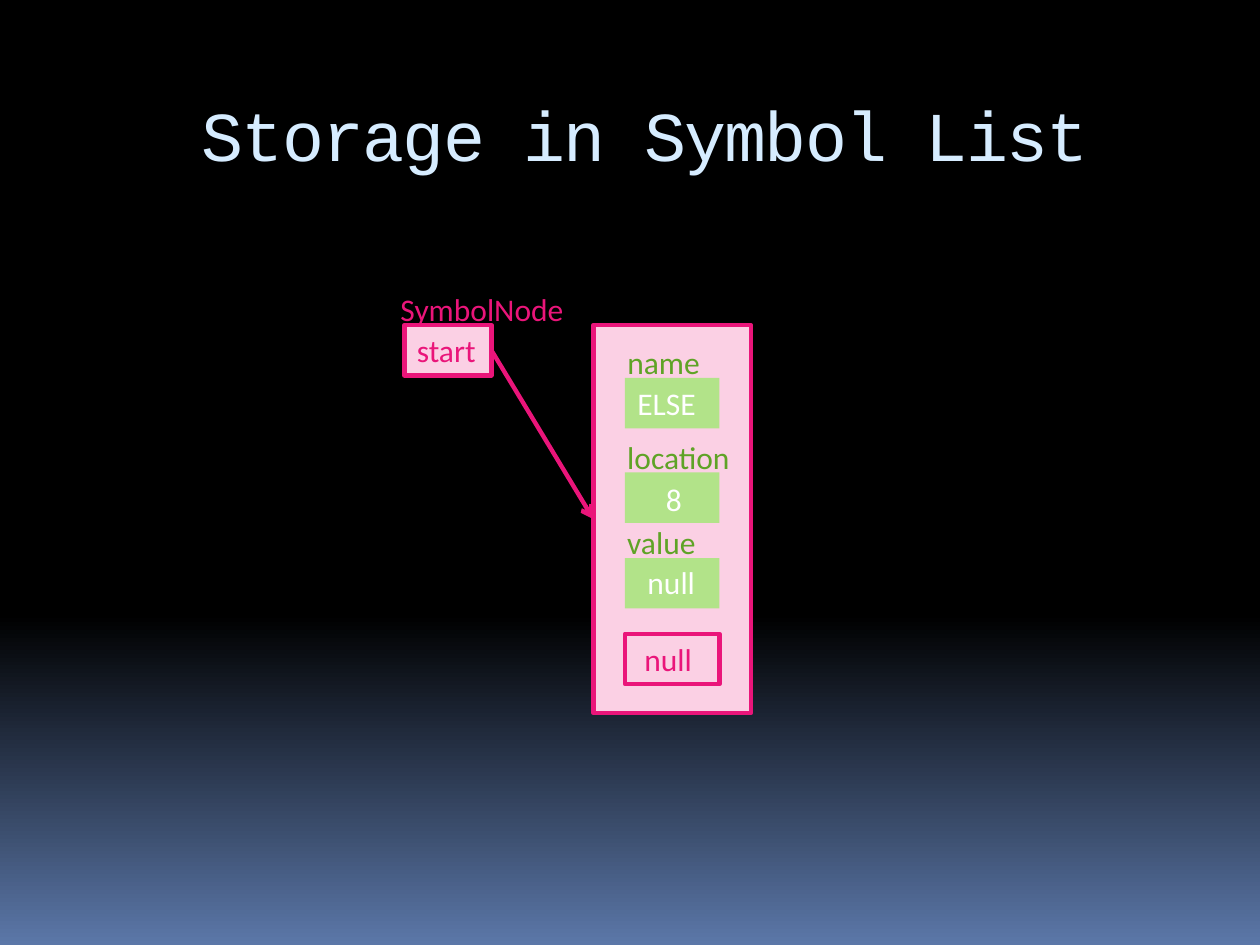
import dataclasses

import pptx
import pptx.dml.color
import pptx.enum.shapes
import pptx.enum.text
import pptx.oxml
import pptx.oxml.ns
import pptx.util

Inches = pptx.util.Inches
Pt = pptx.util.Pt
RGB = pptx.dml.color.RGBColor.from_string


@dataclasses.dataclass(frozen=True)
class Theme:
    night: str = "000000"
    dusk: str = "5B77A8"
    title: str = "D6ECFF"
    pink: str = "EA157A"
    pale_pink: str = "FBD0E4"
    green: str = "B2E389"
    dark_green: str = "5FA326"
    white: str = "FFFFFF"
    title_font: str = "Courier New"
    body_font: str = "Calibri"
    title_size: int = 40
    body_size: int = 18
    line_width: float = 2.5


THEME = Theme()
CELL_HEIGHT = 0.4
FIELD_LEFT = 4.96
FIELD_WIDTH = 0.75
LABEL_LEFT = 4.88


def paint_background(slide):
    fill = slide.background.fill
    fill.gradient()
    fill.gradient_angle = 270
    stops = zip(fill.gradient_stops, (0.65, 1), (THEME.night, THEME.dusk))
    for stop, position, color in stops:
        stop.position = position
        stop.color.rgb = RGB(color)


def write(frame, text, color, font=THEME.body_font, size=THEME.body_size):
    paragraph = frame.paragraphs[0]
    paragraph.alignment = pptx.enum.text.PP_ALIGN.LEFT
    run = paragraph.add_run()
    run.text = text
    run.font.name = font
    run.font.size = Pt(size)
    run.font.color.rgb = RGB(color)
    return run


def add_title(slide, text):
    title = slide.shapes.title
    title.left, title.top = Inches(1.5), Inches(0.56)
    title.width, title.height = Inches(8.5), Inches(1)
    title.text_frame.vertical_anchor = pptx.enum.text.MSO_ANCHOR.MIDDLE
    run = write(title.text_frame, text, THEME.title, THEME.title_font, THEME.title_size)
    run.font._element.set("spc", "-100")


def add_box(shapes, left, top, width, height, fill, outline=None):
    box = shapes.add_shape(
        pptx.enum.shapes.MSO_SHAPE.RECTANGLE,
        Inches(left), Inches(top), Inches(width), Inches(height))
    box.shadow.inherit = False
    box.fill.solid()
    box.fill.fore_color.rgb = RGB(fill)
    if outline:
        box.line.color.rgb = RGB(outline)
        box.line.width = Pt(THEME.line_width)
    else:
        box.line.fill.background()
    return box


def add_pointer_cell(shapes, left, top, width, text, wrap):
    cell = add_box(shapes, left, top, width, CELL_HEIGHT, THEME.pale_pink, THEME.pink)
    cell.text_frame.word_wrap = wrap
    cell.text_frame.auto_size = pptx.enum.text.MSO_AUTO_SIZE.SHAPE_TO_FIT_TEXT
    write(cell.text_frame, text, THEME.pink)
    return cell


def add_label(slide, left, top, width, text, color):
    label = slide.shapes.add_textbox(
        Inches(left), Inches(top), Inches(width), Inches(CELL_HEIGHT))
    label.text_frame.word_wrap = False
    label.text_frame.auto_size = pptx.enum.text.MSO_AUTO_SIZE.SHAPE_TO_FIT_TEXT
    write(label.text_frame, text, color)


def add_arrow(slide, source, target):
    arrow = slide.shapes.add_connector(
        pptx.enum.shapes.MSO_CONNECTOR.STRAIGHT, 0, 0, 0, 0)
    arrow.begin_connect(source, 3)
    arrow.end_connect(target, 1)
    arrow.line.color.rgb = RGB(THEME.pink)
    arrow.line.width = Pt(THEME.line_width)
    head = pptx.oxml.parse_xml(
        f'<a:tailEnd {pptx.oxml.ns.nsdecls("a")} type="arrow"/>')
    arrow.line._get_or_add_ln().append(head)
    arrow._element.spPr.append(
        pptx.oxml.parse_xml(f'<a:effectLst {pptx.oxml.ns.nsdecls("a")}/>'))


def main():
    deck = pptx.Presentation()
    deck.slide_width, deck.slide_height = Inches(10), Inches(7.5)
    slide = deck.slides.add_slide(deck.slide_layouts[5])
    paint_background(slide)
    add_title(slide, "Storage in Symbol List")

    start = add_pointer_cell(slide.shapes, 3.21, 2.58, 0.69, "start", False)
    node = slide.shapes.add_group_shape().shapes
    node_body = add_box(node, 4.71, 2.58, 1.25, 3.08, THEME.pale_pink, THEME.pink)
    add_pointer_cell(node, FIELD_LEFT, 5.03, FIELD_WIDTH, " null", True)
    add_arrow(slide, start, node_body)
    add_label(slide, 3.08, 2.25, 1.57, "SymbolNode", THEME.pink)

    fields = (
        (node, 3, "name", 2.67, 0.79, "ELSE", 4.96, 3, 0.75),
        (slide.shapes, 3.75, "location", 3.43, 1.04, " 8", 5.13, 3.76, 0.38),
        (slide.shapes, 4.43, "value", 4.1, 0.76, "null", 5.04, 4.42, 0.58),
    )
    for (owner, top, name, name_top, name_width,
         value, value_left, value_top, value_width) in fields:
        add_box(owner, FIELD_LEFT, top, FIELD_WIDTH, CELL_HEIGHT, THEME.green)
        add_label(slide, LABEL_LEFT, name_top, name_width, name, THEME.dark_green)
        add_label(slide, value_left, value_top, value_width, value, THEME.white)

    deck.save("out.pptx")


if __name__ == "__main__":
    main()
